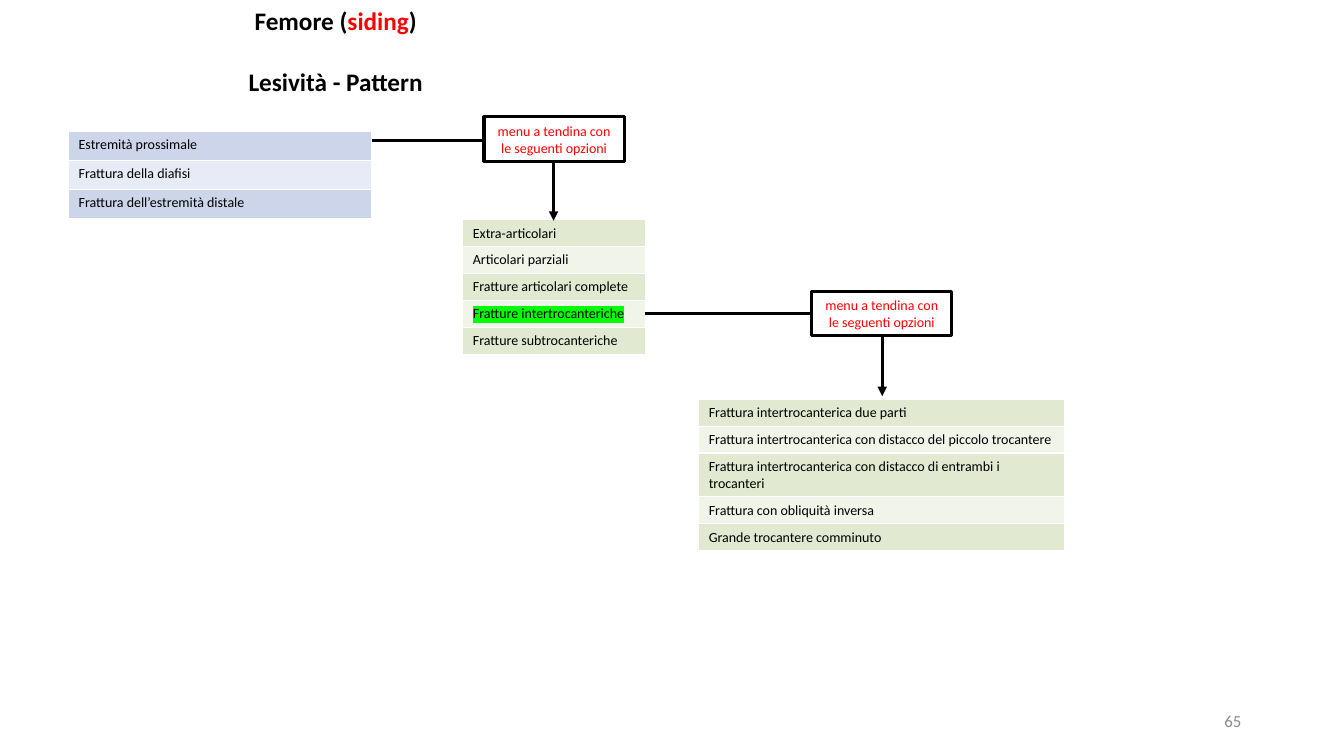
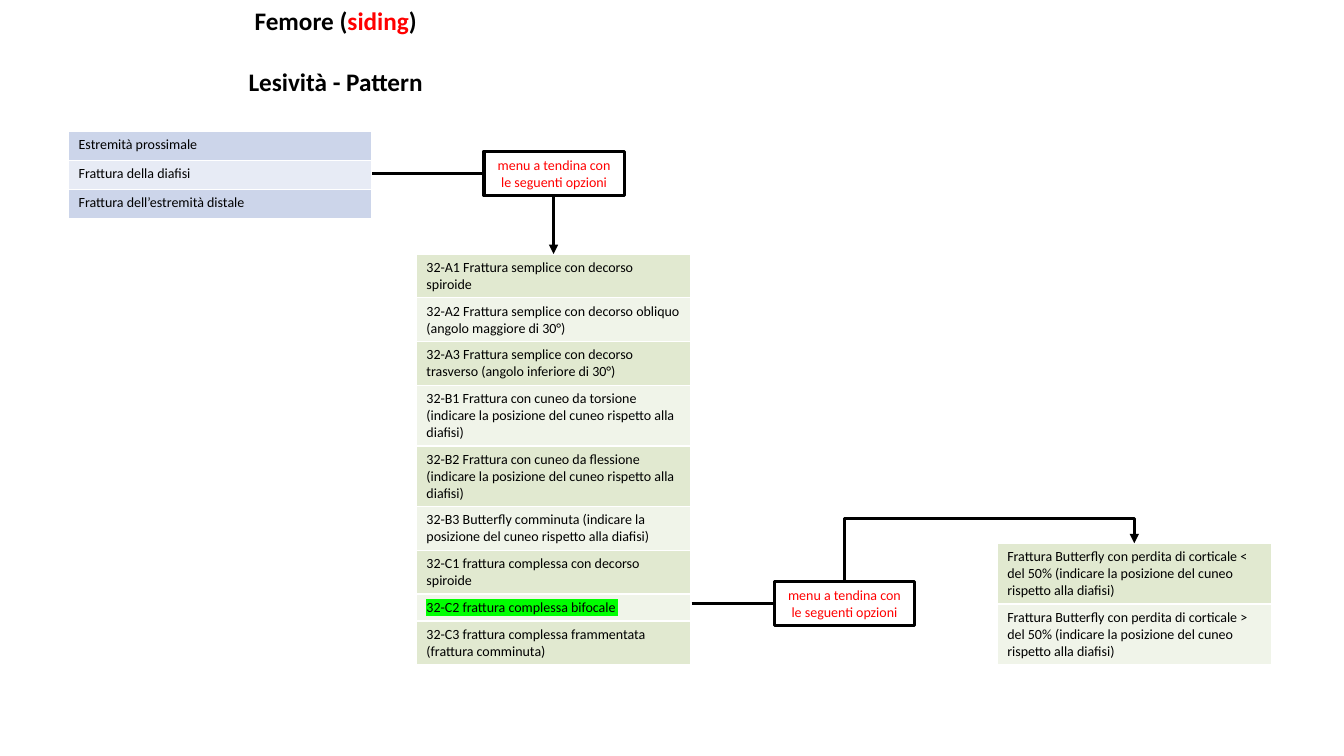
from lxml.etree import SubElement
from pptx import Presentation
from pptx.dml.color import RGBColor
from pptx.enum.shapes import MSO_CONNECTOR as Connector, MSO_SHAPE as Preset
from pptx.enum.text import MSO_ANCHOR as Anchor, PP_ALIGN as Align
from pptx.oxml.ns import qn
from pptx.util import Emu, Pt

# Shared style
FONT = "Calibri"
BLACK, RED, WHITE, GREY = "000000", "FF0000", "FFFFFF", "8C8C8C"
HIGHLIGHT = "00FF00"
BLUE_BANDS = ("CCD5EA", "E7EBF5")
GREEN_BANDS = ("E1E9D0", "F0F4E9")
LINE_WIDTH = Pt(2.25)
BOX_WIDTH, BOX_HEIGHT = 139, 44
MENU_TEXT = "menu a tendina con le seguenti opzioni"


def px(*values):
    """Lengths in px, 100 to the inch, as EMU."""
    return [Emu(value * 9144) for value in values]


def add_run(paragraph, text, size=10, color=BLACK, bold=False, highlight=None):
    run = paragraph.add_run()
    run.text = text
    font = run.font
    font.size, font.bold = Pt(size), bold
    font.color.rgb = RGBColor.from_string(color)
    if highlight:
        mark = SubElement(run._r.rPr, qn("a:highlight"))
        SubElement(mark, qn("a:srgbClr"), val=highlight)
    font.name = FONT


# Content: tables are (left, top, width, row height, bands, highlighted row, rows)
fracture_sites = (68, 130, 301, 29, BLUE_BANDS, None, [
    "Estremità prossimale",
    "Frattura della diafisi",
    "Frattura dell’estremità distale",
])
proximal_types = (459, 218, 181, 26, GREEN_BANDS, 3, [
    "Extra-articolari",
    "Articolari parziali",
    "Fratture articolari complete",
    "Fratture intertrocanteriche",
    "Fratture subtrocanteriche",
])
intertrochanteric_types = (693, 396, 363, 26, GREEN_BANDS, None, [
    "Frattura intertrocanterica due parti",
    "Frattura intertrocanterica con distacco del piccolo trocantere",
    "Frattura intertrocanterica con distacco di entrambi i trocanteri",
    "Frattura con obliquità inversa",
    "Grande trocantere comminuto",
])
shaft_types = (413, 252, 272, 26, GREEN_BANDS, 7, [
    "32-A1 Frattura semplice con decorso spiroide",
    "32-A2 Frattura semplice con decorso obliquo (angolo maggiore di 30°)",
    "32-A3 Frattura semplice con decorso trasverso (angolo inferiore di 30°)",
    "32-B1 Frattura con cuneo da torsione (indicare la posizione del cuneo rispetto alla diafisi)",
    "32-B2 Frattura con cuneo da flessione (indicare la posizione del cuneo rispetto alla diafisi)",
    "32-B3 Butterfly comminuta (indicare la posizione del cuneo rispetto alla diafisi)",
    "32-C1 frattura complessa con decorso spiroide",
    "32-C2 frattura complessa bifocale ",
    "32-C3 frattura complessa frammentata (frattura comminuta)",
])
butterfly_types = (989, 539, 272, 26, GREEN_BANDS, None, [
    f"Frattura Butterfly con perdita di corticale {sign} del 50% "
    "(indicare la posizione del cuneo rispetto alla diafisi)"
    for sign in "<>"
])

# Slides: tables, arrows (ends, bend preset, bend positions),
# corners of the menu boxes, page number
slides = [
    ([fracture_sites, proximal_types, intertrochanteric_types],
     [((369, 139, 549, 219), "bentConnector2", ()),
      ((640, 311, 875, 393), "bentConnector2", ())],
     [(480, 116), (805, 289)],
     "65"),
    ([fracture_sites, shaft_types, butterfly_types],
     [((369, 172, 549, 252), "bentConnector2", ()),
      ((686, 599, 1125, 539), "bentConnector4", (34500, 141500))],
     [(480, 150), (768, 577)],
     None),
]

presentation = Presentation()
presentation.slide_width, presentation.slide_height = px(1333, 750)

for tables, arrows, boxes, page_number in slides:
    slide = presentation.slides.add_slide(presentation.slide_layouts[6])
    shapes = slide.shapes

    # Title
    frame = shapes.add_textbox(*px(0, 0, 666, 101)).text_frame
    frame.word_wrap = True
    title = frame.paragraphs[0]
    for text, color in (("Femore (", BLACK), ("siding", RED), (")", BLACK)):
        add_run(title, text, 18, color, bold=True)
    subtitle = frame.add_paragraph()
    subtitle.space_before = Pt(22)
    add_run(subtitle, "Lesività - Pattern", 18, bold=True)
    title.alignment = subtitle.alignment = Align.CENTER

    # Option tables
    for left, top, width, row_height, bands, marked, rows in tables:
        table = shapes.add_table(
            len(rows), 1, *px(left, top, width, row_height * len(rows))).table
        table.first_row = table.horz_banding = False
        for index, text in enumerate(rows):
            cell = table.cell(index, 0)
            cell.fill.solid()
            cell.fill.fore_color.rgb = RGBColor.from_string(bands[index % 2])
            add_run(cell.text_frame.paragraphs[0], text,
                    highlight=HIGHLIGHT if index == marked else None)

    # Bent arrows
    for ends, preset, bends in arrows:
        connector = shapes.add_connector(Connector.ELBOW, *px(*ends))
        connector.line.width = LINE_WIDTH
        connector.line.color.rgb = RGBColor.from_string(BLACK)
        SubElement(connector.line._get_or_add_ln(), qn("a:tailEnd"), type="triangle")
        properties = connector._element.spPr
        SubElement(properties, qn("a:effectLst"))
        geometry = properties.find(qn("a:prstGeom"))
        geometry.set("prst", preset)
        for number, bend in enumerate(bends, 1):
            SubElement(geometry.find(qn("a:avLst")), qn("a:gd"),
                       name=f"adj{number}", fmla=f"val {bend}")

    # Menu boxes
    for left, top in boxes:
        box = shapes.add_shape(Preset.RECTANGLE, *px(left, top, BOX_WIDTH, BOX_HEIGHT))
        box.shadow.inherit = False
        box.fill.solid()
        box.fill.fore_color.rgb = RGBColor.from_string(WHITE)
        box.line.color.rgb = RGBColor.from_string(BLACK)
        box.line.width = LINE_WIDTH
        box.text_frame.word_wrap = True
        paragraph = box.text_frame.paragraphs[0]
        paragraph.alignment = Align.CENTER
        add_run(paragraph, MENU_TEXT, color=RED)

    # Page number
    if page_number:
        frame = shapes.add_textbox(*px(941, 695, 300, 40)).text_frame
        frame.word_wrap = True
        frame.vertical_anchor = Anchor.MIDDLE
        frame.paragraphs[0].alignment = Align.RIGHT
        add_run(frame.paragraphs[0], page_number, 12, GREY)

presentation.save("out.pptx")
